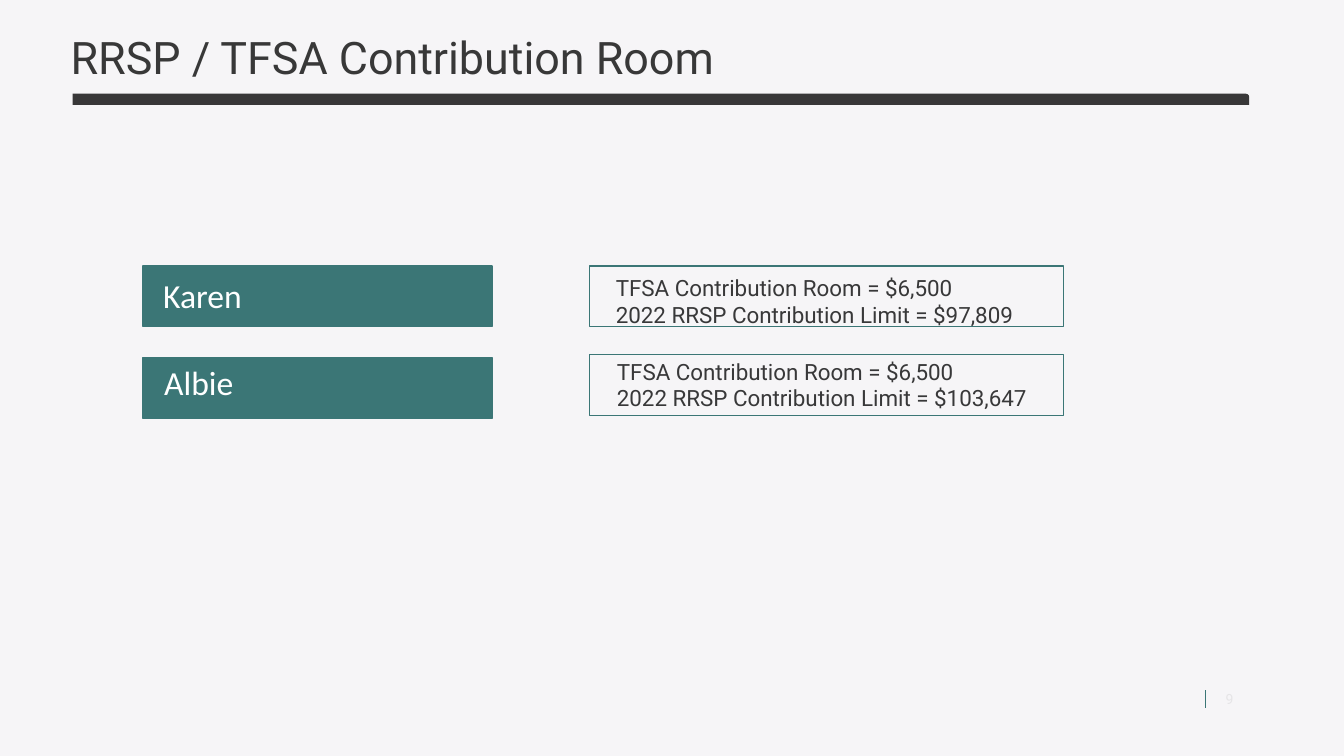
from lxml import etree
from pptx import Presentation
from pptx.dml.color import RGBColor
from pptx.enum.shapes import MSO_CONNECTOR, MSO_SHAPE
from pptx.enum.text import MSO_ANCHOR, PP_ALIGN
from pptx.oxml.ns import qn
from pptx.util import Inches, Pt

BACKGROUND = RGBColor(0xF6, 0xF5, 0xF7)
TEAL = RGBColor(0x3B, 0x76, 0x76)
BAR = RGBColor(0x0C, 0x0C, 0x0C)
TITLE_INK = RGBColor(0x38, 0x38, 0x38)
BODY_INK = RGBColor(0x38, 0x38, 0x39)
WHITE = RGBColor(0xFE, 0xFF, 0xFF)
PALE = RGBColor(0xE6, 0xE5, 0xE7)

TITLE_FORMAT = {"name": "Roboto", "size": Pt(32), "color": TITLE_INK}
NAME_FORMAT = {"name": "Calibri", "size": Pt(24), "color": WHITE}
ROOM_FORMAT = {"name": "Roboto", "size": Pt(16), "color": BODY_INK}
NUMBER_FORMAT = {"name": "Roboto", "size": Pt(10), "color": PALE}

# Each person: name, limits, then (left, top, width, height) of the
# name bar, the name, the limits frame and the limits.
PEOPLE = [
    ("Karen", ["TFSA Contribution Room = $6,500",
               "2022 RRSP Contribution Limit = $97,809"],
     (1.42, 2.64, 3.46, 0.6), (1.52, 2.68, 3.85, 0.5),
     (5.85, 2.64, 4.7, 0.6), (6.01, 2.67, 5.8, 0.64)),
    ("Albie", ["TFSA Contribution Room = $6,500",
               "2022 RRSP Contribution Limit = $103,647"],
     (1.42, 3.55, 3.46, 0.6), (1.53, 3.54, 3.85, 0.5),
     (5.85, 3.52, 4.7, 0.6), (6.02, 3.5, 6.67, 0.64)),
]


def inches(box):
    return [Inches(length) for length in box]


def apply_format(paragraph, values):
    for key, value in values.items():
        if key == "color":
            paragraph.font.color.rgb = value
        else:
            setattr(paragraph.font, key, value)


def add_text(slide, box, lines, values, align=PP_ALIGN.LEFT):
    frame = slide.shapes.add_textbox(*inches(box)).text_frame
    frame.word_wrap = True
    frame.text = "\n".join(lines)
    for paragraph in frame.paragraphs:
        paragraph.alignment = align
        apply_format(paragraph, values)


def add_panel(slide, box, filled):
    panel = slide.shapes.add_shape(MSO_SHAPE.RECTANGLE, *inches(box))
    panel.shadow.inherit = False
    if filled:
        panel.fill.solid()
        panel.fill.fore_color.rgb = TEAL
    else:
        panel.fill.background()
    panel.line.color.rgb = TEAL
    panel.line.width = Pt(1)


def add_title(slide, box):
    """Fill the title placeholder and underline it with a dark bar."""
    left, top, width, height = box
    title = slide.shapes.title
    title.left, title.top, title.width, title.height = inches(box)
    frame = title.text_frame
    frame.text = "RRSP / TFSA Contribution Room"
    frame.vertical_anchor = MSO_ANCHOR.MIDDLE
    heading = frame.paragraphs[0]
    heading.alignment = PP_ALIGN.LEFT
    heading.line_spacing = 0.7
    apply_format(heading, TITLE_FORMAT)

    bar = slide.shapes.add_shape(
        MSO_SHAPE.ROUND_1_RECTANGLE,
        *inches((left + 0.12, top + height, width + 0.17, 0.11)))
    bar.adjustments[0] = 0.3
    bar.shadow.inherit = False
    bar.fill.solid()
    bar.fill.fore_color.rgb = BAR
    bar.line.fill.background()
    color = bar.fill._xPr.find(qn("a:solidFill"))[0]
    etree.SubElement(color, qn("a:alpha"), val="81000")


def add_people(slide, people):
    for name, limits, name_bar, name_box, frame_box, limits_box in people:
        add_panel(slide, name_bar, filled=True)
        add_panel(slide, frame_box, filled=False)
        add_text(slide, name_box, [name], NAME_FORMAT)
        add_text(slide, limits_box, limits, ROOM_FORMAT)


def add_page_number(slide, box):
    left, top, width, height = box
    rule = slide.shapes.add_connector(
        MSO_CONNECTOR.STRAIGHT,
        *inches((left, top + 0.05, left, top + 0.22)))
    rule.line.color.rgb = TEAL
    rule.line.width = Pt(0.5)
    etree.SubElement(rule._element.spPr, qn("a:effectLst"))
    add_text(slide, (left, top, width, height), ["9"], NUMBER_FORMAT,
             PP_ALIGN.CENTER)


def main():
    deck = Presentation()
    deck.slide_width, deck.slide_height = Inches(13.33), Inches(7.5)
    slide = deck.slides.add_slide(deck.slide_layouts[5])
    slide.background.fill.solid()
    slide.background.fill.fore_color.rgb = BACKGROUND
    add_title(slide, (0.6, 0.32, 11.5, 0.61))
    add_people(slide, PEOPLE)
    add_page_number(slide, (11.95, 6.8, 0.49, 0.27))
    deck.save("out.pptx")


if __name__ == "__main__":
    main()
